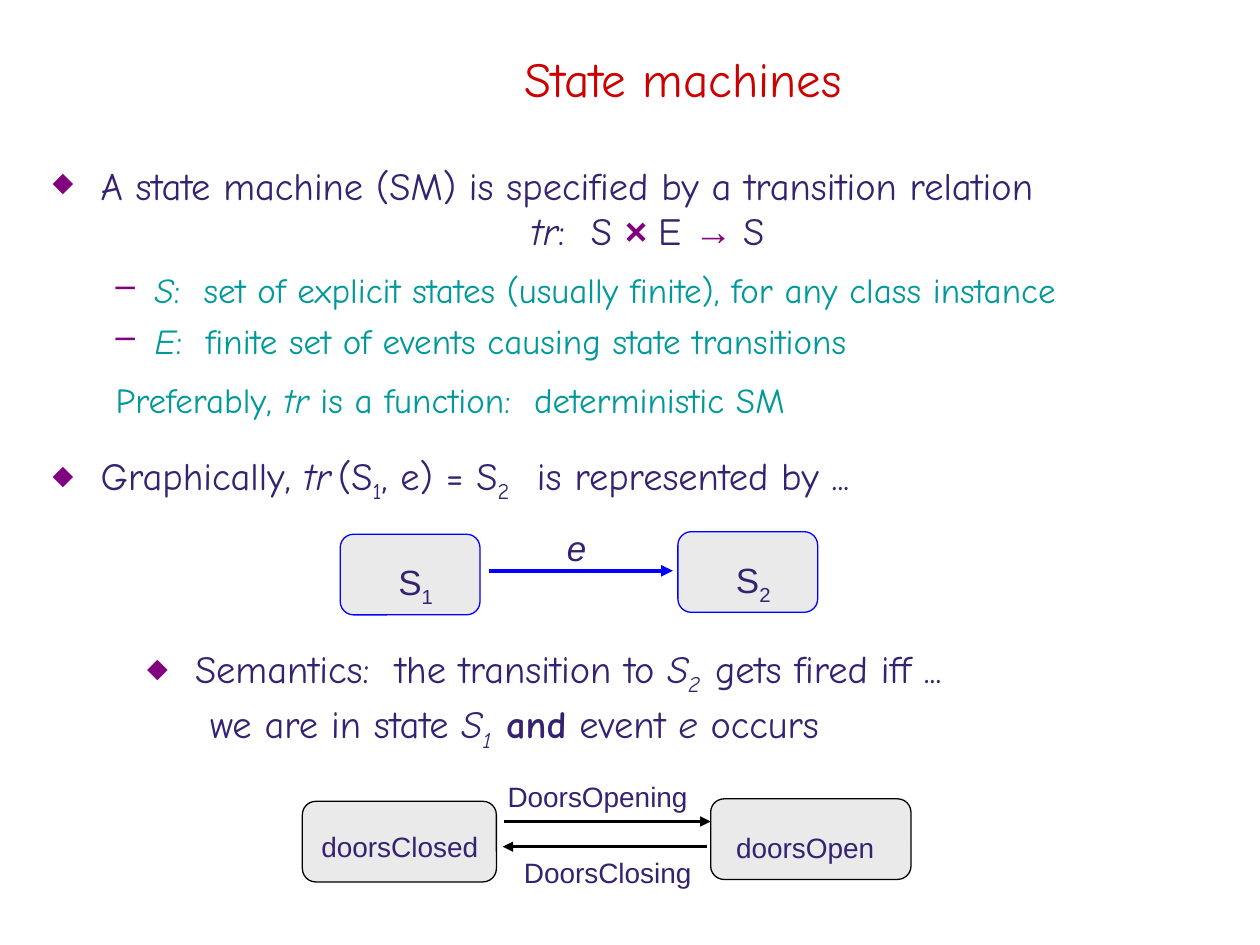
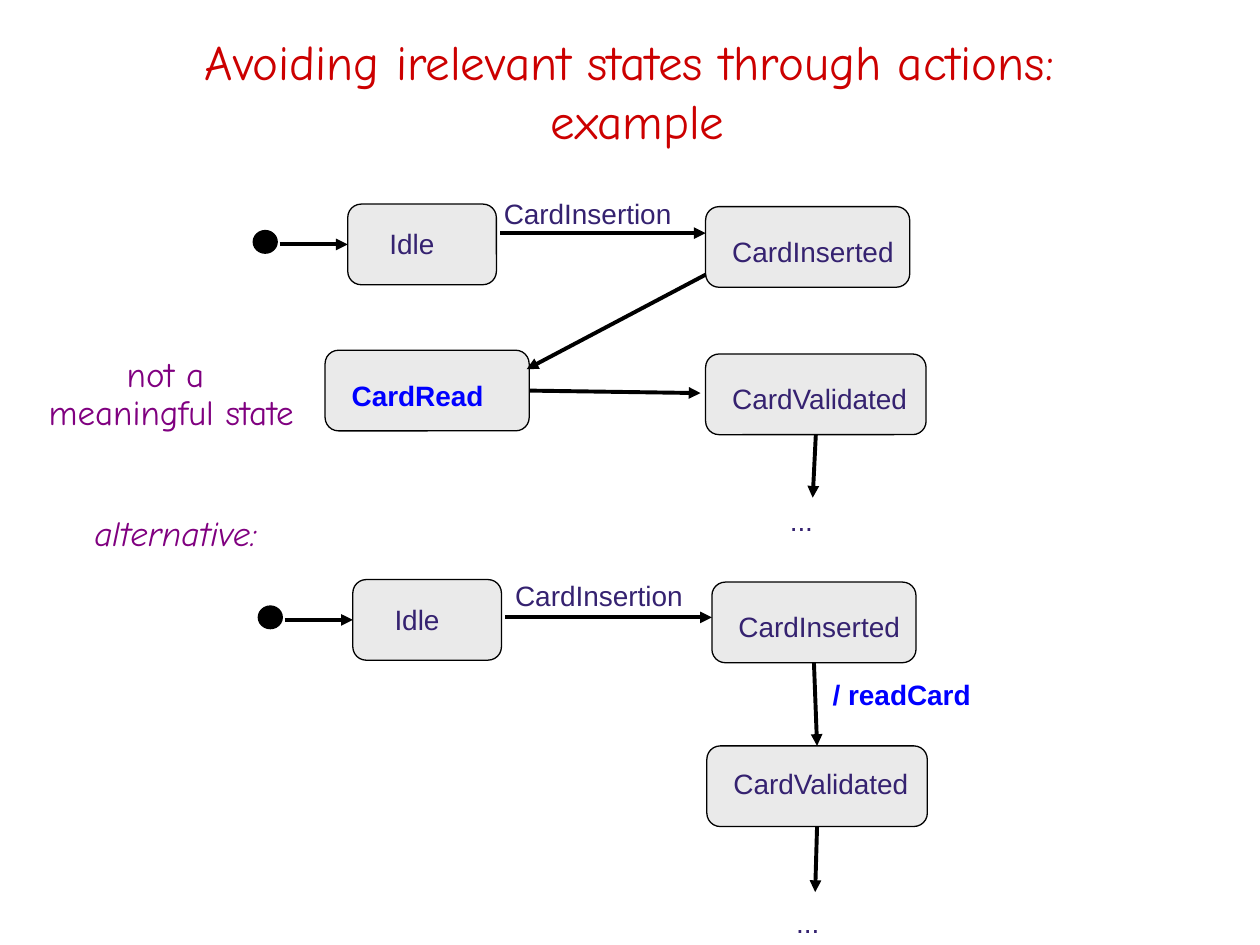
from pptx import Presentation
from pptx.dml.color import RGBColor
from pptx.enum.shapes import MSO_CONNECTOR, MSO_SHAPE
from pptx.enum.text import MSO_ANCHOR, PP_ALIGN
from pptx.oxml.ns import qn
from pptx.util import Inches, Pt
from lxml import etree

STRAIGHT = MSO_CONNECTOR.STRAIGHT
ROUNDED, OVAL = MSO_SHAPE.ROUNDED_RECTANGLE, MSO_SHAPE.OVAL
TOP, MIDDLE = MSO_ANCHOR.TOP, MSO_ANCHOR.MIDDLE
LEFT, CENTER = PP_ALIGN.LEFT, PP_ALIGN.CENTER
TOP_SIDE, LEFT_SIDE, BOTTOM_SIDE, RIGHT_SIDE = range(4)


class Theme:
    hand, plain = "Comic Neue", "Arial"
    red, navy, teal, purple = "CC0000", "352270", "009999", "800080"
    blue, black, grey = "0000FF", "000000", "EAEAEA"
    title_size, body_size, detail_size, label_size = 28, 22, 20, 16
    outline, thin_arrow, thick_arrow = 0.75, 1.5, 2.25
    state_height, dot_size = 0.64, (0.19, 0.18)


# Run formats
TITLE = dict(name=Theme.hand, size=Theme.title_size, color=Theme.red)
BODY = dict(name=Theme.hand, size=Theme.body_size, color=Theme.navy)
DETAIL = dict(name=Theme.hand, size=Theme.detail_size, color=Theme.teal)
REMARK = dict(DETAIL, color=Theme.purple)
LABEL = dict(name=Theme.plain, size=Theme.label_size, color=Theme.navy)
KEY_LABEL = dict(LABEL, color=Theme.blue, bold=True)
SYMBOL = dict(LABEL, size=Theme.detail_size)
ITALIC, BOLD, SUB = dict(italic=True), dict(bold=True), dict(sub=True)
ITALIC_SUB = dict(ITALIC, **SUB)
OPERATOR = dict(name=Theme.plain, color=Theme.purple)

# Paragraph formats: indents in inches, space before in points
POINT = dict(margin=0.38, hanging=0.38, before=8.8)
BULLET = dict(POINT, bullet="◆", bullet_size=70)
SUBPOINT = dict(margin=0.81, hanging=0.31, before=5)
DASH = dict(SUBPOINT, bullet="–")

# Texts: (box, anchor, [(runs, run format, paragraph format)])
MACHINE_TEXTS = [
    ((1.07, 0.2, 8.7, 0.83), MIDDLE, [(["State machines"], TITLE, dict(align=CENTER))]),
    ((0.32, 0.84, 9.64, 3.35), MIDDLE, [
        (["A state machine (SM) is specified by a transition relation"],
         BODY, dict(BULLET, spacing=1.7)),
        ([("tr", ITALIC), ":  S ", ("× ", dict(OPERATOR, **BOLD)), "E ", ("→ ", OPERATOR), "S"],
         BODY, dict(POINT, spacing=0.6, align=CENTER)),
        ([("S", ITALIC), ":  set of explicit states (usually finite), for any class instance"],
         DETAIL, dict(DASH, spacing=1.2)),
        ([("E", ITALIC), ":  finite set of events causing state transitions"], DETAIL, DASH),
        (["Preferably,", (" tr", ITALIC), " is a function:  deterministic SM"],
         DETAIL, dict(SUBPOINT, spacing=1.2)),
        (["Graphically, ", ("tr", ITALIC), (" ", dict(size=12)), "(S", ("1", SUB),
          ", e) = S", ("2  ", SUB), " is represented by ..."],
         BODY, dict(BULLET, spacing=1.3)),
    ]),
    ((1.07, 4.73, 7.94, 1.43), MIDDLE, [
        (["Semantics:  the transition to ", ("S", ITALIC), ("2  ", ITALIC_SUB),
          "gets fired iff ..."], BODY, dict(BULLET, spacing=1.4)),
        (["we are in state ", ("S", ITALIC), ("1  ", ITALIC_SUB), ("and", BOLD),
          " event ", ("e", ITALIC), " occurs"],
         BODY, dict(SUBPOINT, before=2.2, spacing=0.9)),
    ]),
]
ACTION_TEXTS = [
    ((0.33, 0.3, 9.46, 0.83), MIDDLE,
     [(["Avoiding irelevant states through actions: ", "\n", "example"],
       TITLE, dict(align=CENTER))]),
    ((0.65, 3.94, 2.44, 0.54), MIDDLE,
     [([("alternative:", ITALIC)], REMARK, dict(POINT, before=8, spacing=1.1))]),
    ((0.14, 2.82, 2.44, 0.54), MIDDLE, [
        (["not a "], REMARK, dict(POINT, before=8, spacing=1.1, align=CENTER)),
        (["meaningful state"], REMARK, dict(POINT, before=8, spacing=0.5, align=CENTER)),
    ]),
]

# States: name -> (left, top, width, text inset left and top, runs, run format)
# Arrows: (from, to); an end is a point or a (state, side) pair
# Labels: (left, top, width, text, run format)
TRANSITION = dict(
    line=Theme.blue, weight=Theme.thick_arrow,
    states={
        "S1": (2.7, 4.24, 1.11, (0.43, 0.18), ["S", ("1", SUB)], SYMBOL),
        "S2": (5.38, 4.22, 1.11, (0.43, 0.18), ["S", ("2", SUB)], SYMBOL),
    },
    arrows=[((3.88, 4.53), (5.34, 4.53))],
    labels=[(4.4, 4.13, 0.44, "e", dict(SYMBOL, **ITALIC))],
)
DOORS = dict(
    line=Theme.black, weight=Theme.thin_arrow,
    states={
        "closed": (2.4, 6.36, 1.54, (0.12, 0.19), ["doorsClosed"], LABEL),
        "open": (5.64, 6.34, 1.59, (0.17, 0.22), ["doorsOpen"], LABEL),
    },
    arrows=[((4, 6.52), (5.64, 6.52)), ((5.61, 6.72), (3.99, 6.72))],
    labels=[(3.93, 6.14, 1.7, "DoorsOpening", LABEL),
            (4.06, 6.74, 1.54, "DoorsClosing", LABEL)],
)
CARD_READ_STATE = dict(
    line=Theme.black, weight=Theme.thick_arrow, start=(2.01, 1.83),
    states={
        "idle": (2.76, 1.62, 1.18, (0.3, 0.15), ["Idle"], LABEL),
        "inserted": (5.6, 1.64, 1.62, (0.18, 0.19), ["CardInserted"], LABEL),
        "read": (2.58, 2.78, 1.62, (0.18, 0.19), ["CardRead"], KEY_LABEL),
        "validated": (5.6, 2.81, 1.75, (0.18, 0.19), ["CardValidated"], LABEL),
    },
    arrows=[
        ((2.22, 1.94), ("idle", LEFT_SIDE)),
        ((3.97, 1.85), (5.6, 1.85)),
        ((5.6, 2.18), (4.18, 2.93)),
        (("read", RIGHT_SIDE), (5.56, 3.12)),
        (("validated", BOTTOM_SIDE), (6.45, 3.95)),
    ],
    labels=[(3.9, 1.51, 1.64, "CardInsertion", LABEL), (6.17, 3.95, 0.53, "...", LABEL)],
)
CARD_READ_ACTION = dict(
    line=Theme.black, weight=Theme.thick_arrow, start=(2.05, 4.81),
    states={
        "idle": (2.8, 4.6, 1.18, (0.3, 0.15), ["Idle"], LABEL),
        "inserted": (5.65, 4.62, 1.62, (0.18, 0.19), ["CardInserted"], LABEL),
        "validated": (5.61, 5.92, 1.75, (0.18, 0.13), ["CardValidated"], LABEL),
    },
    arrows=[
        ((2.26, 4.92), ("idle", LEFT_SIDE)),
        ((4.01, 4.9), (5.65, 4.9)),
        (("inserted", BOTTOM_SIDE), ("validated", TOP_SIDE)),
        (("validated", BOTTOM_SIDE), (6.47, 7.08)),
    ],
    labels=[(3.99, 4.54, 1.64, "CardInsertion", LABEL),
            (6.51, 5.33, 1.48, "/ readCard", KEY_LABEL),
            (6.22, 7.14, 0.53, "...", LABEL)],
)
SLIDES = [(MACHINE_TEXTS, [TRANSITION, DOORS]),
          (ACTION_TEXTS, [CARD_READ_STATE, CARD_READ_ACTION])]


def rgb(value):
    return RGBColor.from_string(value)


def write_runs(para, runs, base):
    for run in runs:
        text, changes = (run, {}) if isinstance(run, str) else run
        if text == "\n":
            para.add_line_break()
            continue
        look = {**base, **changes}
        span = para.add_run()
        span.text = text
        span.font.color.rgb = rgb(look.pop("color"))
        if look.pop("sub", False):
            span.font._element.set("baseline", "-25000")
        look["size"] = Pt(look["size"])
        for key, value in look.items():
            setattr(span.font, key, value)


def format_paragraph(para, align=LEFT, margin=0, hanging=0, before=0, spacing=1.0,
                     bullet=None, bullet_size=100):
    for key, value in dict(alignment=align, space_before=Pt(before),
                           line_spacing=spacing).items():
        setattr(para, key, value)
    properties = para._p.get_or_add_pPr()
    properties.set("marL", str(Inches(margin)))
    properties.set("indent", str(-Inches(hanging)))
    if bullet:
        color = etree.SubElement(properties, qn("a:buClr"))
        etree.SubElement(color, qn("a:srgbClr"), val=Theme.purple)
        etree.SubElement(properties, qn("a:buSzPct"), val=str(bullet_size * 1000))
        etree.SubElement(properties, qn("a:buChar"), char=bullet)
    else:
        etree.SubElement(properties, qn("a:buNone"))


def fill_frame(frame, paragraphs, anchor=TOP, insets=(0.1, 0.05, 0.1, 0.05)):
    frame.word_wrap = True
    frame.vertical_anchor = anchor
    for side, inset in zip(("left", "top", "right", "bottom"), insets):
        setattr(frame, f"margin_{side}", Inches(inset))
    for index, (runs, look, layout) in enumerate(paragraphs):
        para = frame.add_paragraph() if index else frame.paragraphs[0]
        format_paragraph(para, **layout)
        write_runs(para, runs, look)


def add_text(page, box, paragraphs, **options):
    frame = page.shapes.add_textbox(*map(Inches, box)).text_frame
    fill_frame(frame, paragraphs, **options)


def add_outlined(page, kind, box, fill, line):
    shape = page.shapes.add_shape(kind, *map(Inches, box))
    shape.shadow.inherit = False
    shape.fill.solid()
    shape.fill.fore_color.rgb = rgb(fill)
    shape.line.color.rgb = rgb(line)
    shape.line.width = Pt(Theme.outline)
    return shape


def add_state(page, left, top, width, inset, runs, look, line):
    shape = add_outlined(page, ROUNDED, (left, top, width, Theme.state_height),
                         Theme.grey, line)
    fill_frame(shape.text_frame, [(runs, look, {})], insets=(*inset, 0, 0))
    return shape


def add_arrow(page, ends, shapes, line, weight):
    points = [(0, 0) if end[0] in shapes else end for end in ends]
    arrow = page.shapes.add_connector(
        STRAIGHT, *(Inches(value) for point in points for value in point))
    for end, join in zip(ends, (arrow.begin_connect, arrow.end_connect)):
        if end[0] in shapes:
            join(shapes[end[0]], end[1])
    arrow.line.color.rgb = rgb(line)
    arrow.line.width = Pt(weight)
    etree.SubElement(arrow.line._get_or_add_ln(), qn("a:tailEnd"), type="triangle")
    etree.SubElement(arrow._element.spPr, qn("a:effectLst"))


def add_diagram(page, line, weight, states, arrows, labels, start=None):
    shapes = {name: add_state(page, *state, line) for name, state in states.items()}
    if start:
        add_outlined(page, OVAL, (*start, *Theme.dot_size), line, line)
    for ends in arrows:
        add_arrow(page, ends, shapes, line, weight)
    for left, top, width, text, look in labels:
        add_text(page, (left, top, width, 0.36), [([text], look, {})],
                 insets=(0.1, 0.05, 0, 0.05))


def main():
    deck = Presentation()
    deck.slide_width, deck.slide_height = Inches(10), Inches(7.5)
    for texts, diagrams in SLIDES:
        page = deck.slides.add_slide(deck.slide_layouts[6])
        for box, anchor, paragraphs in texts:
            add_text(page, box, paragraphs, anchor=anchor)
        for diagram in diagrams:
            add_diagram(page, **diagram)
    deck.save("out.pptx")


if __name__ == "__main__":
    main()
